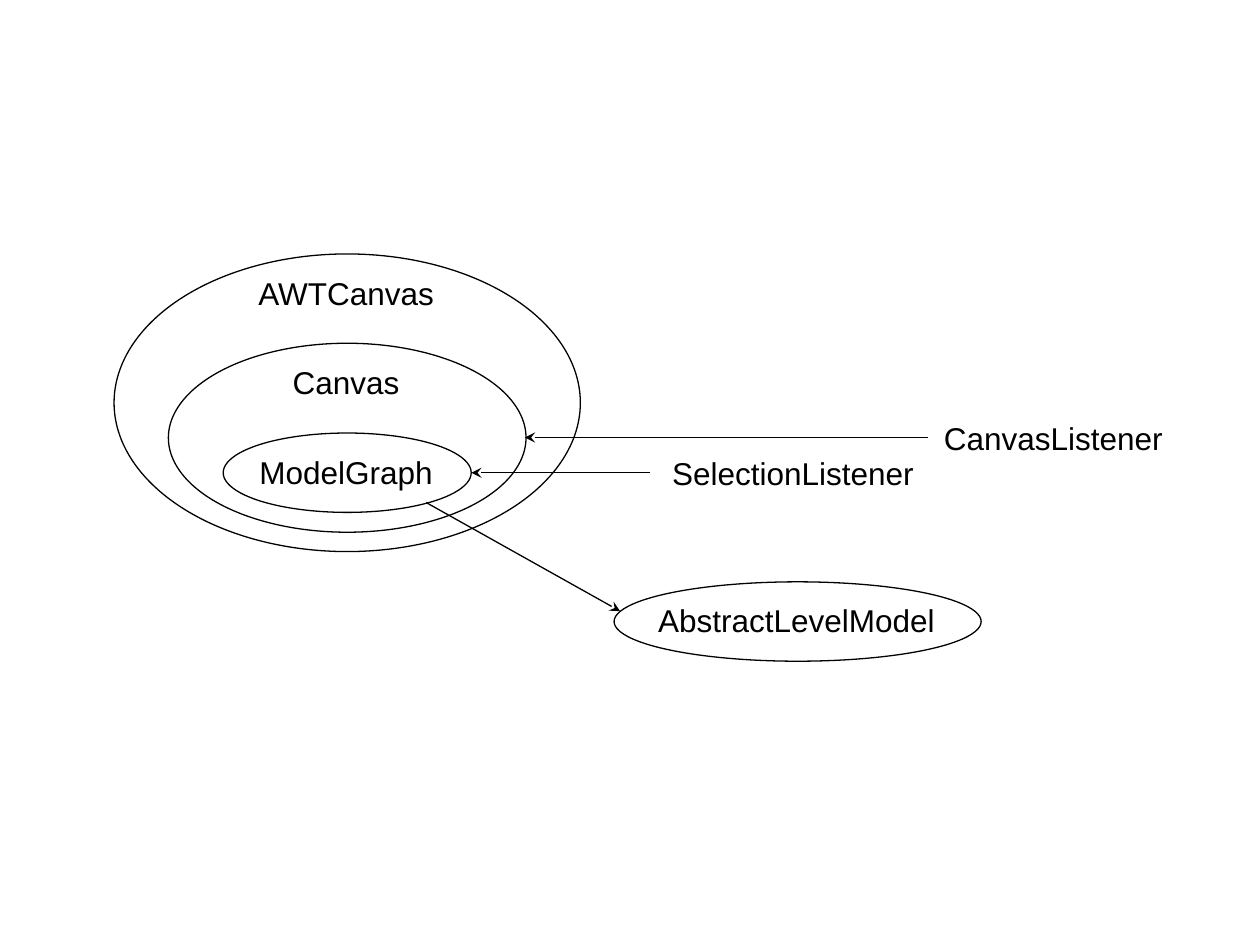
"""Build the slide of nested canvas classes with their listeners and model."""
from lxml import etree
from pptx import Presentation
from pptx.dml.color import RGBColor
from pptx.enum.shapes import MSO_CONNECTOR, MSO_SHAPE
from pptx.enum.text import MSO_AUTO_SIZE
from pptx.oxml.ns import qn
from pptx.util import Cm, Pt

ELLIPSE = MSO_SHAPE.OVAL
STRAIGHT = MSO_CONNECTOR.STRAIGHT
FIT_SHAPE = MSO_AUTO_SIZE.SHAPE_TO_FIT_TEXT
COLORS = {"text": "000000", "line": "000000"}
LABEL_H = 1.02
LABEL_GAP = 0.27

prs = Presentation()
prs.slide_width, prs.slide_height = Cm(25.4), Cm(19.05)
s = prs.slides.add_slide(prs.slide_layouts[6])


def add_label(text, left, top, width, size=18, font="Arial", color="text"):
    sp = s.shapes.add_textbox(Cm(left), Cm(top), Cm(width), Cm(LABEL_H))
    tf = sp.text_frame
    tf.word_wrap = False
    tf.auto_size = FIT_SHAPE
    r = tf.paragraphs[0].add_run()
    r.text = text
    r.font.size = Pt(size)
    r.font.name = font
    r.font.color.rgb = RGBColor.from_string(COLORS[color])


def style_line(sp):
    sp.line.color.rgb = RGBColor.from_string(COLORS["line"])
    sp.line.width = Pt(0.75)


listeners = [
    ("SelectionListener", 13.3, 9.02, 5.42),
    ("CanvasListener", 18.78, 8.32, 4.96),
]
for text, left, top, width in listeners:
    add_label(text, left, top, width)

classes = [
    ("ModelGraph", 7, 8.73, 5, 1.6, 4.04),
    ("Canvas", 7, 6.92, 7.21, 3.81, 2.7),
    ("AWTCanvas", 7, 5.12, 9.4, 6, 4.08),
    ("AbstractLevelModel", 16.08, 11.73, 7.4, 1.6, 6.12),
]
for text, center, top, width, height, label_w in classes:
    add_label(text, center - label_w / 2, top + LABEL_GAP, label_w)
    sp = s.shapes.add_shape(ELLIPSE, Cm(center - width / 2), Cm(top), Cm(width), Cm(height))
    sp.shadow.inherit = False
    sp.fill.background()
    style_line(sp)

arrows = [
    (9.5, 9.53, 13.1, 9.53, "a:headEnd"),
    (10.58, 8.82, 18.7, 8.82, "a:headEnd"),
    (8.59, 10.13, 12.5, 12.32, "a:tailEnd"),
]
for x1, y1, x2, y2, tip in arrows:
    sp = s.shapes.add_connector(STRAIGHT, Cm(x1), Cm(y1), Cm(x2), Cm(y2))
    style_line(sp)
    etree.SubElement(sp.line._get_or_add_ln(), qn(tip), type="stealth")
    etree.SubElement(sp._element.spPr, qn("a:effectLst"))

prs.save("out.pptx")
